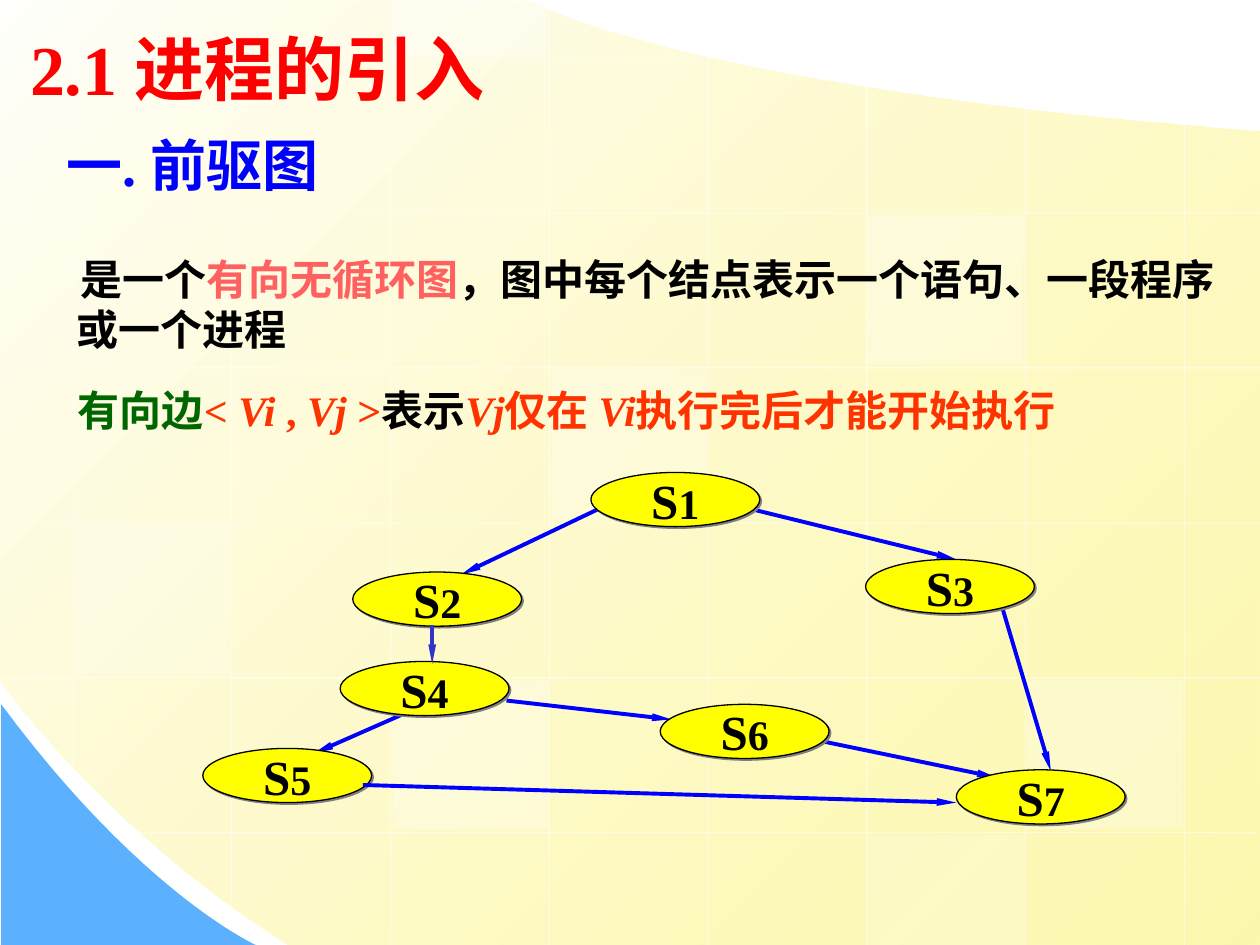
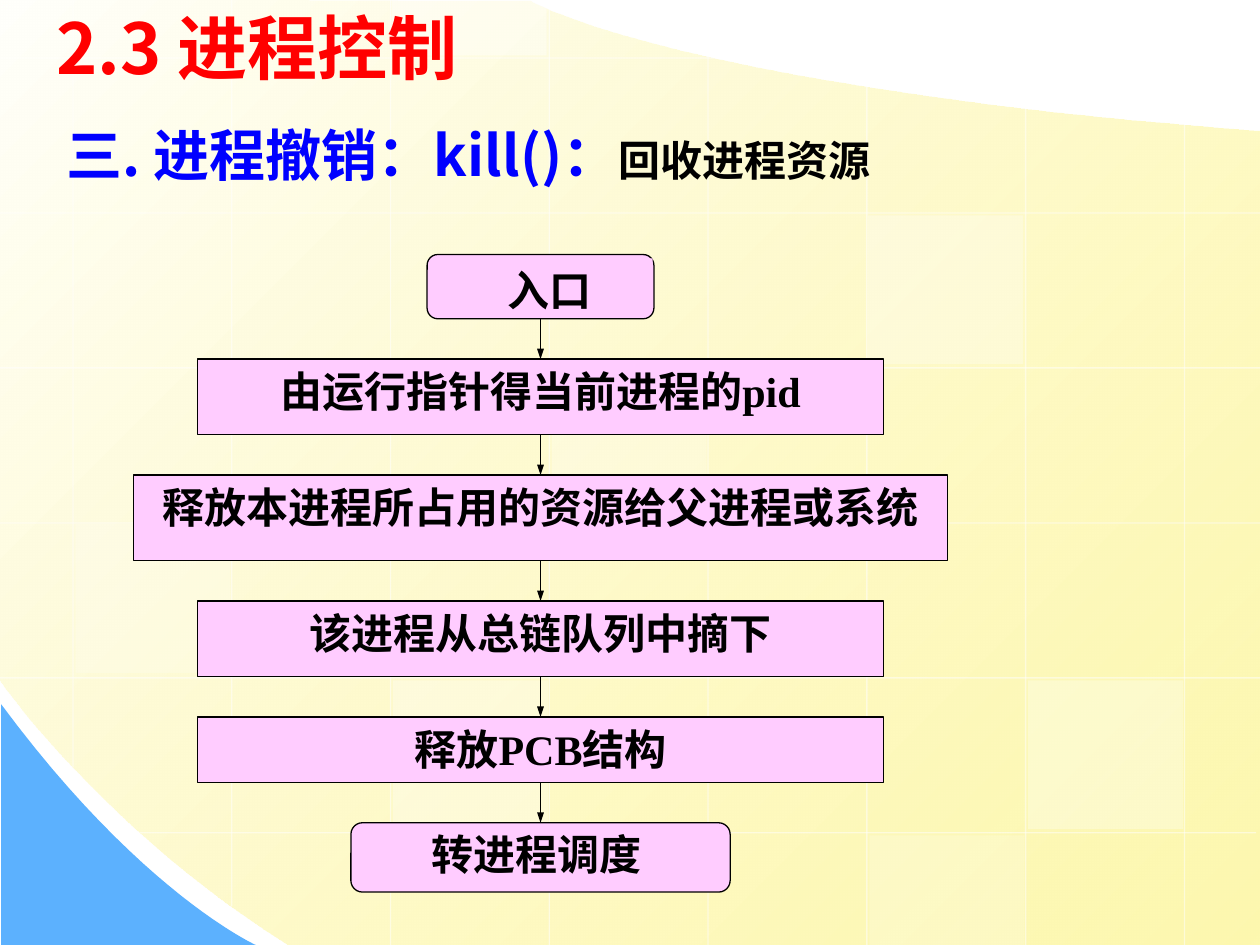
from lxml.etree import SubElement as Sub
from pptx import Presentation as Deck
from pptx.dml.color import RGBColor as Rgb
from pptx.enum.shapes import MSO_CONNECTOR as Conn, MSO_SHAPE as Kind
from pptx.enum.text import MSO_ANCHOR as Anchor, PP_ALIGN as Align
from pptx.oxml.ns import qn
from pptx.util import Inches, Pt

RED, BLUE, BLACK, WHITE = "FF0000", "0000FF", "000000", "FFFFFF"
PINK, YELLOW, ORANGE, GREEN = "FFCCFF", "FFFF00", "FF3300", "006600"
ROMAN, SANS = "Times New Roman", "Noto Sans CJK SC"


def color(code):
    return Rgb.from_string(code)


def fade(shape, percent):
    tint = shape._element.spPr.findall(".//" + qn("a:srgbClr"))[-1]
    Sub(tint, qn("a:alpha"), val=str(percent * 1000))


def curve(start, one, two, end, steps=24):
    for i in range(1, steps + 1):
        t = i / steps
        parts = ((1 - t) ** 3, 3 * t * (1 - t) ** 2, 3 * t * t * (1 - t), t ** 3)
        yield tuple(sum(w * p[k] for w, p in zip(parts, (start, one, two, end)))
                    for k in (0, 1))


def write(frame, runs, size=24, font=ROMAN, tint=BLACK, align=Align.LEFT,
          anchor=Anchor.TOP, wrap=True, top=0.05, left=0, first=0):
    frame.word_wrap = wrap
    frame.vertical_anchor = anchor
    frame.margin_left = frame.margin_right = Inches(0.1)
    frame.margin_top, frame.margin_bottom = Inches(top), Inches(0.05)
    para = frame.paragraphs[0]
    para.alignment = align
    if left:
        props = para._p.get_or_add_pPr()
        props.set("marL", str(Inches(left)))
        props.set("indent", str(Inches(first)))
    for text, look in [(runs, {})] if isinstance(runs, str) else runs:
        run = para.add_run()
        run.text = text
        run.font.name = font
        run.font.size = Pt(look.get("size", size))
        run.font.bold = True
        run.font.italic = look.get("slant", False)
        run.font.color.rgb = color(look.get("tint", tint))
        latin = run._r.rPr.find(qn("a:latin"))
        latin.addnext(latin.makeelement(qn("a:ea"), typeface=SANS))


class Board:
    def __init__(self):
        self.deck = Deck()
        self.deck.slide_width, self.deck.slide_height = Inches(10), Inches(7.5)

    def page(self):
        self.shapes = self.deck.slides.add_slide(self.deck.slide_layouts[6]).shapes
        self.back()

    def text(self, box, runs, **look):
        frame = self.shapes.add_textbox(*map(Inches, box)).text_frame
        write(frame, runs, **look)

    def title(self, box, runs, **look):
        self.text(box, runs, size=40, tint=RED, **look)

    def head(self, box, runs, **look):
        self.text(box, runs, size=32, tint=BLUE, **look)

    def shape(self, kind, box, fill, line=None):
        item = self.shapes.add_shape(kind, *map(Inches, box))
        item.shadow.inherit = False
        item.fill.solid()
        item.fill.fore_color.rgb = color(fill)
        if line:
            item.line.color.rgb = color(line)
            item.line.width = Pt(0.75)
        else:
            item.line.fill.background()
        return item

    def outline(self, points):
        first, *rest = [(Inches(x), Inches(y)) for x, y in points]
        build = self.shapes.build_freeform(*first)
        build.add_line_segments(rest)
        item = build.convert_to_shape()
        item.shadow.inherit = False
        item.line.fill.background()
        return item

    def line(self, start, end, tint, width=0.75, tip=None):
        item = self.shapes.add_connector(Conn.STRAIGHT, *map(Inches, start + end))
        item.line.color.rgb = color(tint)
        item.line.width = Pt(width)
        if tip:
            Sub(item.line._get_or_add_ln(), qn("a:tailEnd"),
                type="triangle", w="sm", len=tip)
        Sub(item._element.spPr, qn("a:effectLst"))
        return item

    def node(self, number, left, top):
        item = self.shape(Kind.OVAL, (left, top, 1.34, 0.43), YELLOW, BLACK)
        glow = item._element.spPr.find(qn("a:effectLst"))
        cast = Sub(glow, qn("a:outerShdw"), blurRad="0", dist=str(Pt(1.4)),
                   dir="2700000", algn="ctr", rotWithShape="0")
        Sub(cast, qn("a:srgbClr"), val="808080")
        write(item.text_frame, [("S", {"size": 28}), (str(number), {})],
              align=Align.CENTER, anchor=Anchor.MIDDLE, wrap=False)

    def back(self):
        low, edge, peak = (2.3, 7.5), (0, 5.39), (4.21, 0.01)
        field = self.outline([
            (10, 1.04), (10, 7.5), low,
            *curve(low, (0.86, 6.61), (-0.01, 5.39), edge),
            (-0.01, -0.01), peak,
            *curve(peak, peak, (5.37, 0.69), (10, 1.04))])
        field.fill.gradient()
        field.fill.gradient_angle = 315
        for stop, (tint, place) in zip(field.fill.gradient_stops,
                                       (("FFFFFB", 0), ("FDF58D", 1))):
            stop.color.rgb, stop.position = color(tint), place
        fade(field, 70)
        foot, tip = (2.03, 7.5), (0.01, 5.59)
        corner = self.outline([tip, (0.01, 7.5), foot,
                               *curve(foot, foot, (1.12, 7.09), tip)])
        corner.fill.solid()
        corner.fill.fore_color.rgb = color("5CB1FE")
        spans = [(0, 6.09), (0, 7.19), (0, 7.5), (0, 7.5),
                 (0.43, 7.5), (0.68, 7.5), (0.85, 7.5), (0.98, 7.5)]
        for i, (top, end) in enumerate(spans):
            x = 0.58 + 1.26 * i
            fade(self.line((x, top), (x, end), WHITE), 50)
        for i, (left, end) in enumerate([(0, 5.68), *[(0, 10)] * 4, (1.11, 9.97)]):
            y = 0.46 + 1.23 * i
            fade(self.line((end, y), (left, y), WHITE), 50)
        for left, top, high, clear in [
                (4.38, 2.94, 1.18, 25), (8.16, 5.4, 1.18, 30), (0.6, 4.16, 1.18, 20),
                (6.9, 6.63, 0.87, 20), (3.11, 0, 0.44, 40), (3.12, 5.4, 1.18, 30),
                (6.89, 1.71, 1.18, 30)]:
            fade(self.shape(Kind.RECTANGLE, (left, top, 1.23, high), WHITE), clear)

    def graph(self):
        self.page()
        self.text((0.14, 1.86, 9.67, 1.1), [
            ("是一个", {}), ("有向无循环图", {"tint": "FF6161"}),
            ("，图中每个结点表示一个语句、一段程序或一个进程", {})],
            font="Arial", top=0.15, left=0.37, first=0.03)
        self.head((0.43, 0.99, 4.09, 0.64), "一. 前驱图")
        warm = {"tint": ORANGE}
        lean = {"tint": ORANGE, "slant": True}
        self.text((0.52, 2.95, 8.56, 0.57), [
            ("有向边", {"tint": GREEN}), ("<", warm), (" Vi ", lean), (", ", warm),
            ("Vj", lean), (" >", warm), ("表示", {}), ("Vj", lean),
            ("仅在 ", warm), ("Vi", lean), ("执行完后才能开始执行", warm)], top=0.1)
        for start, end in [
                ((7.96, 4.84), (8.34, 6.12)), ((4.02, 5.56), (5.33, 5.71)),
                ((5.96, 4.04), (7.59, 4.44)), ((6.51, 5.88), (7.91, 6.17)),
                ((3.24, 5.65), (2.49, 5.98)), ((4.75, 4.04), (3.66, 4.56))]:
            self.line(start, end, BLUE, 2.25, "lg")
        for number, left, top in [
                (1, 4.69, 3.75), (3, 6.87, 4.44), (7, 7.59, 6.11), (6, 5.24, 5.59),
                (4, 2.7, 5.25), (2, 2.8, 4.54), (5, 1.61, 5.94)]:
            self.node(number, left, top)
        self.line((2.88, 6.23), (7.59, 6.37), BLUE, 2.25, "lg")
        self.line((3.43, 4.96), (3.43, 5.27), "3333CC", 2.25, "lg")
        self.title((0.14, 0.15, 7.4, 0.77), "2.1 进程的引入")

    def flow(self):
        self.page()
        mid, top, gap = 4.29, 2.02, 0.32
        boxes = []
        for kind, wide, high, label in [
                (Kind.ROUNDED_RECTANGLE, 1.8, 0.51, None),
                (Kind.RECTANGLE, 5.44, 0.6, "由运行指针得当前进程的pid"),
                (Kind.RECTANGLE, 6.46, 0.68, "释放本进程所占用的资源给父进程或系统"),
                (Kind.RECTANGLE, 5.44, 0.6, "该进程从总链队列中摘下"),
                (Kind.RECTANGLE, 5.44, 0.52, "释放PCB结构"),
                (Kind.ROUNDED_RECTANGLE, 3.01, 0.55, None)]:
            box = self.shape(kind, (mid - wide / 2, top, wide, high), PINK, BLACK)
            if label:
                write(box.text_frame, label, align=Align.CENTER)
            boxes.append(box)
            top += high + gap
        entry = self.shape(Kind.RECTANGLE, (3.54, 2.05, 1.64, 0.39), PINK)
        write(entry.text_frame, "入口", align=Align.CENTER)
        self.text((2.79, 6.53, 2.93, 0.7), "转进程调度", align=Align.CENTER)
        for upper, lower in zip(boxes, boxes[1:]):
            arrow = self.line((mid, 0), (mid, 1), BLACK, tip="med")
            arrow.begin_connect(upper, 2)
            arrow.end_connect(lower, 0)
        self.head((0.43, 0.91, 9.29, 0.63), [
            ("三. 进程撤销：kill()：", {}),
            ("回收进程资源", {"size": 24, "tint": BLACK})], font=SANS)
        self.title((0.35, -0.03, 5.05, 0.8), "2.3 进程控制",
                   font=SANS, anchor=Anchor.MIDDLE)


def main():
    board = Board()
    board.graph()
    board.flow()
    board.deck.save("out.pptx")


if __name__ == "__main__":
    main()
